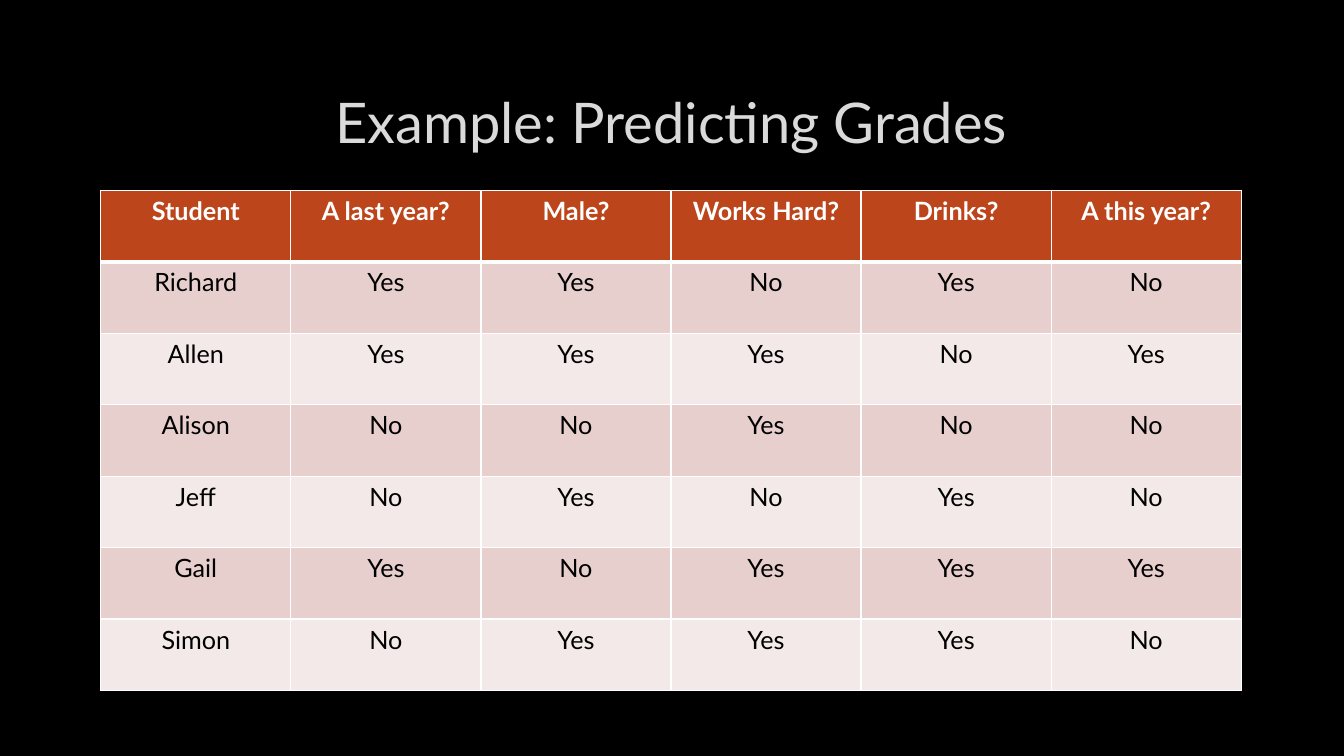
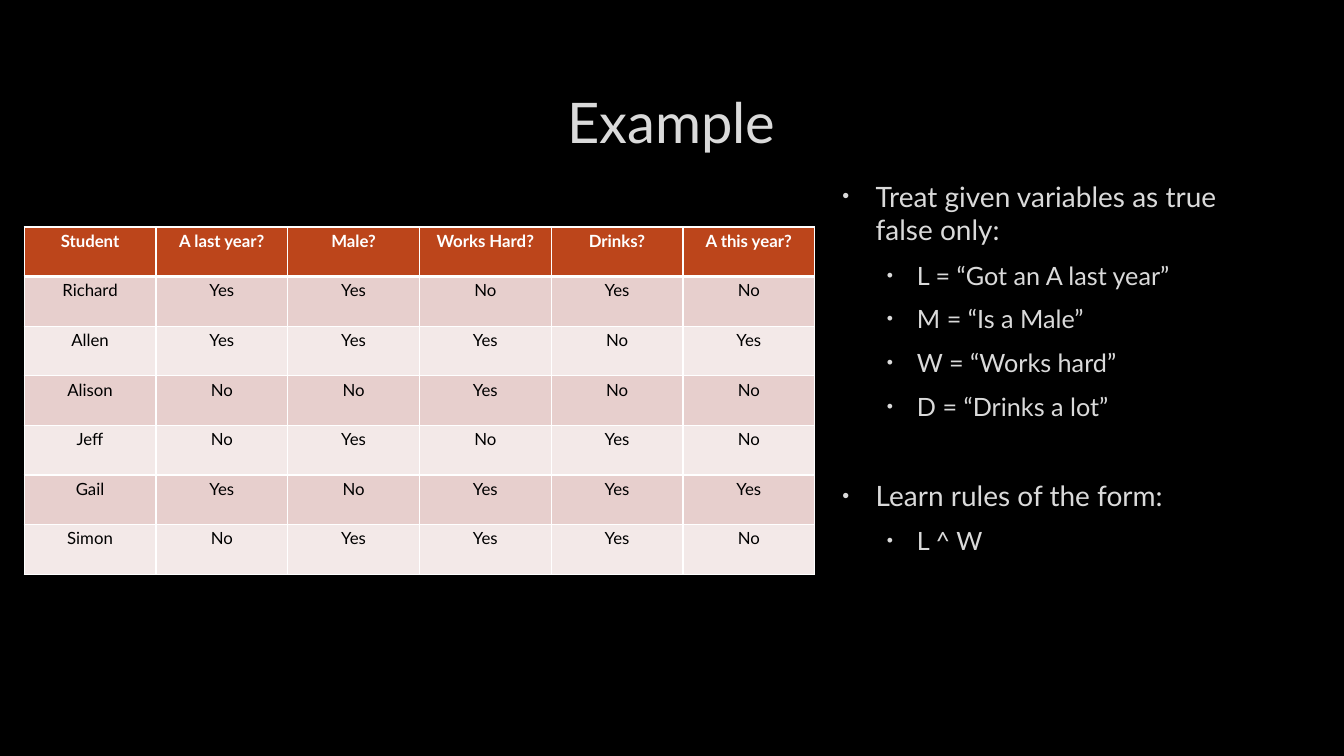
from dataclasses import dataclass

from lxml import etree
from pptx import Presentation
from pptx.dml.color import RGBColor
from pptx.enum.text import MSO_ANCHOR, PP_ALIGN
from pptx.oxml.ns import qn
from pptx.slide import Slide
from pptx.text.text import Font
from pptx.util import Cm, Pt

CENTER = PP_ALIGN.CENTER
LEFT = PP_ALIGN.LEFT
MIDDLE = MSO_ANCHOR.MIDDLE
BLANK_LAYOUT = 6


@dataclass(frozen=True)
class Theme:
    """Colours, font and type sizes shared by the slides."""
    font: str = "Lato"
    background: str = "000000"
    text: str = "DADADA"
    header: str = "BC451B"
    header_text: str = "FFFFFF"
    cell_text: str = "000000"
    bands: tuple[str, str] = ("E7CFCD", "F3E9E8")
    rule: str = "FFFFFF"
    rule_pt: int = 1
    header_rule_pt: int = 3
    title_pt: int = 40
    bullet_pts: tuple[int, int] = (20, 18)
    bullet_percent: int = 70
    space_after_pt: int = 6


@dataclass(frozen=True)
class TableStyle:
    """Place and scale of a grade table, lengths in centimetres."""
    left: float
    top: float
    col_width: float
    row_height: float
    size: int
    margin_x: float
    margin_y: float


@dataclass(frozen=True)
class Bullet:
    """One bullet, with the space above it in points."""
    text: str
    level: int = 0
    space_before: float = 4


THEME = Theme()
INDENTS = ((0.97, -0.84), (2.01, -0.76))
GRADES = (
    ("Student", "A last year?", "Male?", "Works Hard?", "Drinks?", "A this year?"),
    ("Richard", "Yes", "Yes", "No", "Yes", "No"),
    ("Allen", "Yes", "Yes", "Yes", "No", "Yes"),
    ("Alison", "No", "No", "Yes", "No", "No"),
    ("Jeff", "No", "Yes", "No", "Yes", "No"),
    ("Gail", "Yes", "No", "Yes", "Yes", "Yes"),
    ("Simon", "No", "Yes", "Yes", "Yes", "No"),
)
FULL_TABLE = TableStyle(2.54, 4.8, 4.79, 1.8, 18, 0.25, 0.13)
SIDE_TABLE = TableStyle(0.61, 5.72, 3.32, 1.25, 12, 0.18, 0.09)
RULES = (
    Bullet("Treat given variables as true false only:"),
    Bullet("L = “Got an A last year”", 1, 3.6),
    Bullet("M = “Is a Male”", 1, 3.6),
    Bullet("W = “Works hard”", 1, 3.6),
    Bullet("D = “Drinks a lot”", 1, 3.6),
    Bullet("Learn rules of the form:", 0, 35),
    Bullet("L ^ W", 1, 3.6),
)


def set_font(font: Font, size: int, color: str, bold: bool = False) -> None:
    """Apply the theme font with a size, colour and weight."""
    font.name = THEME.font
    font.size = Pt(size)
    font.bold = bold
    font.color.rgb = RGBColor.from_string(color)


def add_title(s: Slide, text: str) -> None:
    """Add the centred slide title."""
    sp = s.shapes.add_textbox(Cm(2.54), Cm(1.7), Cm(28.75), Cm(2.69))
    tf = sp.text_frame
    tf.word_wrap = True
    tf.vertical_anchor = MIDDLE
    p = tf.paragraphs[0]
    p.text = text
    p.alignment = CENTER
    set_font(p.font, THEME.title_pt, THEME.text)


def add_borders(tc_pr: etree._Element, row: int) -> None:
    """Rule a cell on all sides, heavier below the header row."""
    heavy = {("lnB", 0), ("lnT", 1)}
    for side in ("lnL", "lnR", "lnT", "lnB"):
        width = THEME.header_rule_pt if (side, row) in heavy else THEME.rule_pt
        ln = etree.SubElement(tc_pr, qn(f"a:{side}"), w=str(Pt(width)))
        fill = etree.SubElement(ln, qn("a:solidFill"))
        etree.SubElement(fill, qn("a:srgbClr"), val=THEME.rule)


def add_grades(s: Slide, style: TableStyle) -> None:
    """Add the grade table at the given place and scale."""
    rows, cols = len(GRADES), len(GRADES[0])
    table = s.shapes.add_table(
        rows, cols, Cm(style.left), Cm(style.top),
        Cm(style.col_width * cols), Cm(style.row_height * rows)).table
    for column in table.columns:
        column.width = Cm(style.col_width)
    for i, values in enumerate(GRADES):
        table.rows[i].height = Cm(style.row_height)
        is_header = i == 0
        fill = THEME.header if is_header else THEME.bands[(i - 1) % 2]
        color = THEME.header_text if is_header else THEME.cell_text
        for j, value in enumerate(values):
            cell = table.cell(i, j)
            cell.margin_left = cell.margin_right = Cm(style.margin_x)
            cell.margin_top = cell.margin_bottom = Cm(style.margin_y)
            add_borders(cell._tc.get_or_add_tcPr(), i)
            cell.fill.solid()
            cell.fill.fore_color.rgb = RGBColor.from_string(fill)
            p = cell.text_frame.paragraphs[0]
            p.text = value
            p.alignment = CENTER
            set_font(p.font, style.size, color, is_header)


def add_bullets(s: Slide, bullets: tuple[Bullet, ...]) -> None:
    """Add the bulleted text on the right of the slide."""
    sp = s.shapes.add_textbox(Cm(20.85), Cm(4.39), Cm(11.43), Cm(13.61))
    tf = sp.text_frame
    tf.word_wrap = True
    for i, bullet in enumerate(bullets):
        p = tf.add_paragraph() if i else tf.paragraphs[0]
        p.text = bullet.text
        p.level = bullet.level
        p.alignment = LEFT
        p.space_before = Pt(bullet.space_before)
        p.space_after = Pt(THEME.space_after_pt)
        margin, indent = INDENTS[bullet.level]
        p_pr = p._p.get_or_add_pPr()
        p_pr.set("marL", str(Cm(margin)))
        p_pr.set("indent", str(Cm(indent)))
        color = etree.SubElement(p_pr, qn("a:buClr"))
        etree.SubElement(color, qn("a:srgbClr"), val=THEME.text)
        etree.SubElement(p_pr, qn("a:buSzPct"), val=str(THEME.bullet_percent * 1000))
        etree.SubElement(p_pr, qn("a:buFont"), typeface="Arial")
        etree.SubElement(p_pr, qn("a:buChar"), char="•")
        set_font(p.font, THEME.bullet_pts[bullet.level], THEME.text)


def main() -> None:
    """Build and save the presentation."""
    prs = Presentation()
    prs.slide_width, prs.slide_height = Cm(33.87), Cm(19.05)
    background = prs.slide_master.background.fill
    background.solid()
    background.fore_color.rgb = RGBColor.from_string(THEME.background)
    layout = prs.slide_layouts[BLANK_LAYOUT]

    s = prs.slides.add_slide(layout)
    add_title(s, "Example: Predicting Grades")
    add_grades(s, FULL_TABLE)

    s = prs.slides.add_slide(layout)
    add_title(s, "Example")
    add_grades(s, SIDE_TABLE)
    add_bullets(s, RULES)

    prs.save("out.pptx")


main()
